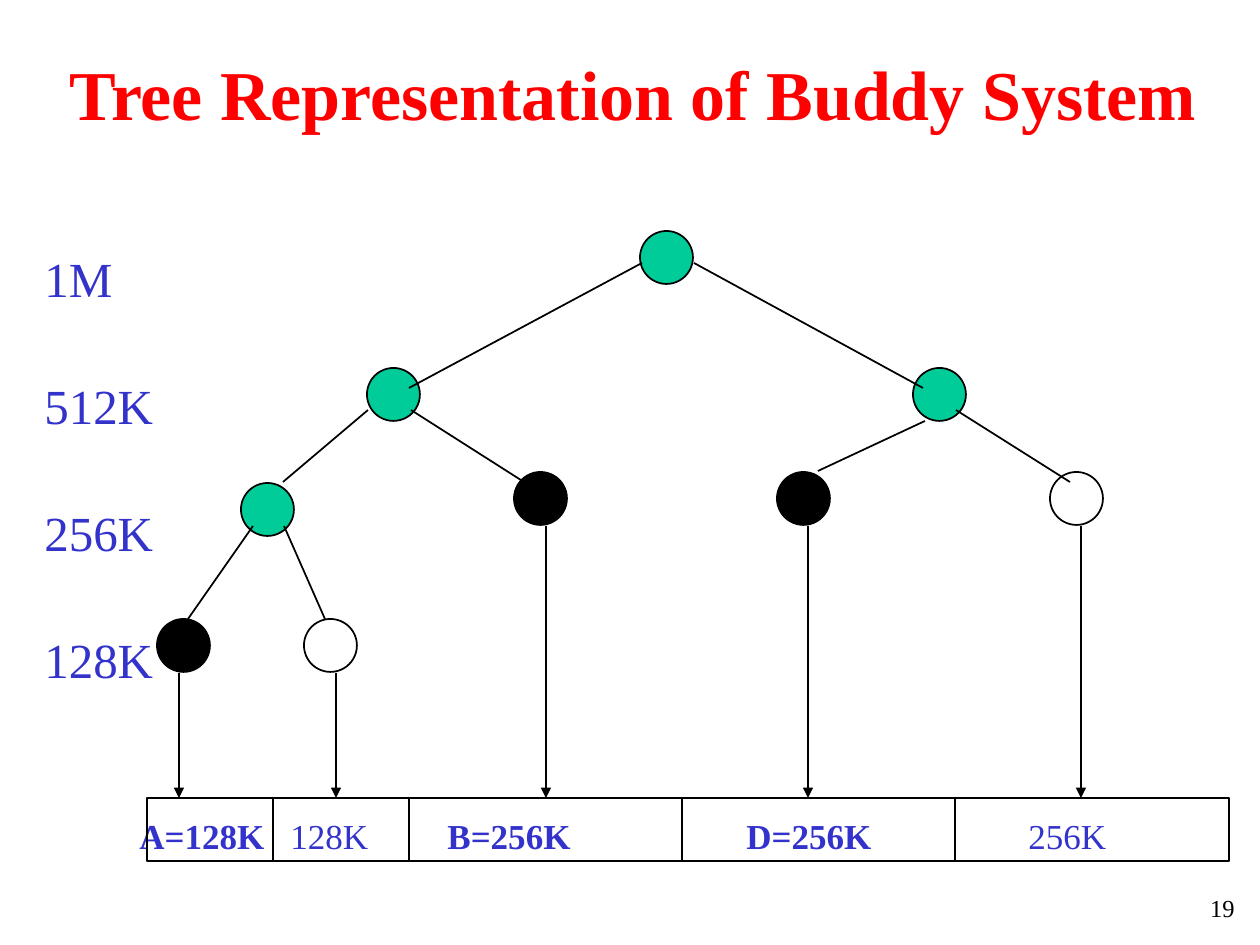
"""Builds a slide showing a buddy system memory allocator as a binary tree."""
from lxml import etree
from pptx import Presentation
from pptx.dml.color import RGBColor
from pptx.enum.shapes import MSO_CONNECTOR, MSO_SHAPE
from pptx.enum.text import MSO_ANCHOR, PP_ALIGN
from pptx.oxml.ns import qn
from pptx.util import Emu, Pt

PX = 914400 / 126
RECTANGLE, OVAL = MSO_SHAPE.RECTANGLE, MSO_SHAPE.OVAL
STRAIGHT = MSO_CONNECTOR.STRAIGHT
TOP, MIDDLE = MSO_ANCHOR.TOP, MSO_ANCHOR.MIDDLE
LEFT, CENTER, RIGHT = PP_ALIGN.LEFT, PP_ALIGN.CENTER, PP_ALIGN.RIGHT
FONT = "Times New Roman"
BLACK, BLUE, RED, GREEN = "000000", "3333CC", "FF0000", "00CC99"
NODE_SIZE = 53
BAR_LEFT, BAR_TOP, BAR_WIDTH, BAR_HEIGHT = 147, 798, 1082, 63

presentation = Presentation()
presentation.slide_width = Emu(round(1260 * PX))
presentation.slide_height = Emu(round(945 * PX))
slide = presentation.slides.add_slide(presentation.slide_layouts[6])


def paint(color_format, color):
    color_format.rgb = RGBColor.from_string(color)


def px(*lengths):
    return [Emu(round(length * PX)) for length in lengths]


texts = [
    ((46, 32, 1174, 122), ["Tree Representation of Buddy System"], 40, RED, True, CENTER, MIDDLE),
    ((32, 242, 140, 450), ["1M", "512K", "256K", "128K"], 28, BLUE, False, LEFT, TOP),
    ((1189, 887, 58, 55), ["19"], 14, BLACK, False, RIGHT, TOP),
]
blocks = [(140, "A=128K", True), (291, "128K", False), (448, "B=256K", True),
          (747, "D=256K", True), (1029, "256K", False)]
for left, label, bold in blocks:
    texts.append(((left - 13, 808, 160, 50), [label], 20, BLUE, bold, LEFT, TOP))

for box, lines, size, color, bold, alignment, anchor in texts:
    frame = slide.shapes.add_textbox(*px(*box)).text_frame
    frame.word_wrap = True
    frame.vertical_anchor = anchor
    for index, line in enumerate(lines):
        paragraph = frame.paragraphs[0] if index == 0 else frame.add_paragraph()
        paragraph.alignment = alignment
        if index:
            paragraph.space_before = Pt(39)
        run = paragraph.add_run()
        run.text = line
        run.font.name = FONT
        run.font.size = Pt(size)
        run.font.bold = bold
        paint(run.font.color, color)

nodes = [(640, 231, GREEN), (913, 368, GREEN), (367, 368, GREEN),
         (1050, 472, None), (777, 472, BLACK), (514, 472, BLACK),
         (241, 483, GREEN), (304, 619, None), (157, 619, BLACK)]
outlines = [(RECTANGLE, (BAR_LEFT, BAR_TOP, BAR_WIDTH, BAR_HEIGHT), None)]
for left, top, fill in nodes:
    outlines.append((OVAL, (left, top, NODE_SIZE, NODE_SIZE), fill))

for kind, box, fill in outlines:
    shape = slide.shapes.add_shape(kind, *px(*box))
    shape.shadow.inherit = False
    paint(shape.line.color, BLACK)
    shape.line.width = Pt(1)
    if fill:
        shape.fill.solid()
        paint(shape.fill.fore_color, fill)
    else:
        shape.fill.background()

branches = [(642, 263, 409, 388), (694, 263, 923, 388), (368, 410, 283, 482),
            (411, 410, 524, 482), (925, 421, 818, 471), (956, 410, 1070, 482),
            (253, 526, 188, 619), (284, 526, 325, 619)]
dividers = [(x, BAR_TOP, x, BAR_TOP + BAR_HEIGHT) for x in (273, 409, 682, 955)]
arrows = [(x, y, x, BAR_TOP) for x, y in
          [(179, 673), (336, 673), (546, 526), (808, 526), (1081, 526)]]

for ends in branches + dividers + arrows:
    connector = slide.shapes.add_connector(STRAIGHT, *px(*ends))
    paint(connector.line.color, BLACK)
    connector.line.width = Pt(1)
    if ends in arrows:
        etree.SubElement(connector.line._get_or_add_ln(), qn("a:tailEnd"), type="triangle")
    etree.SubElement(connector._element.spPr, qn("a:effectLst"))

presentation.save("out.pptx")
